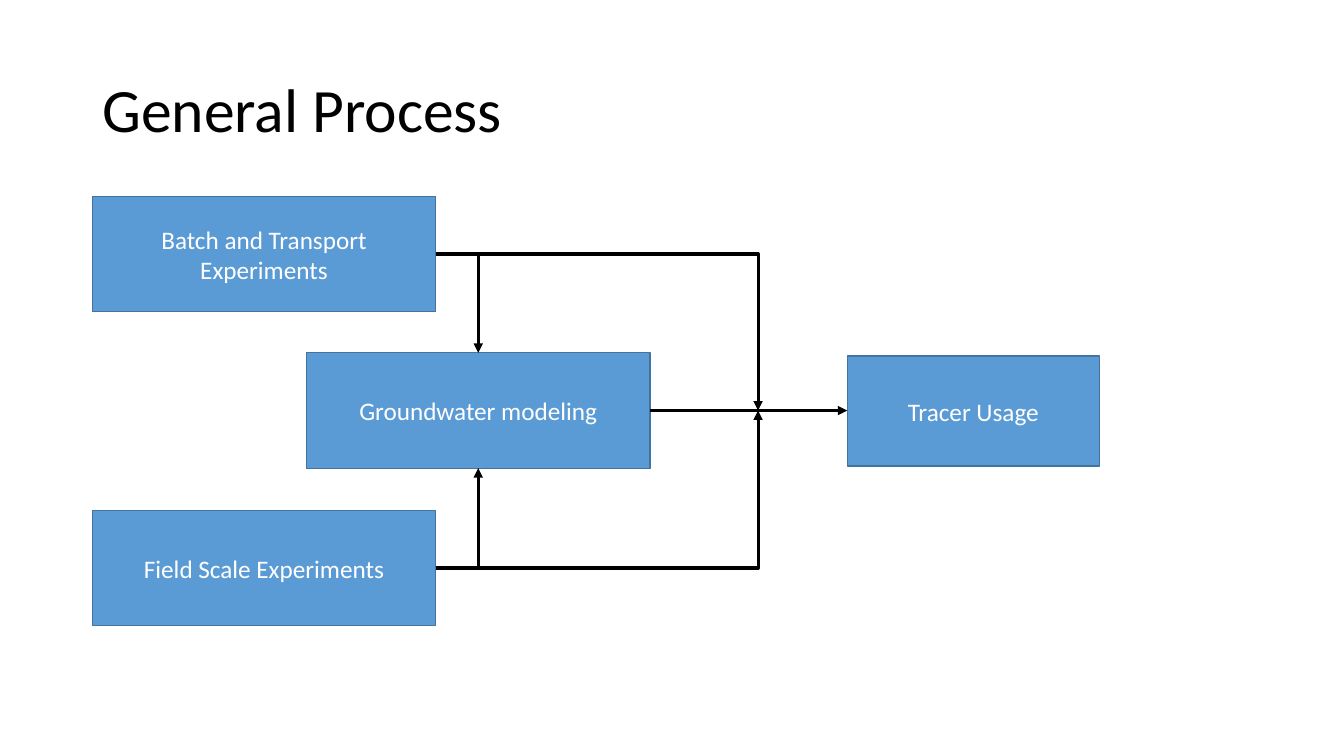
from lxml import etree
from pptx import Presentation
from pptx import util as u
from pptx.dml.color import RGBColor
from pptx.enum import shapes, text
from pptx.oxml import ns

PX = 9525
FONT = "Calibri"
BLACK, WHITE, BLUE, EDGE = "000000", "FFFFFF", "5B9BD5", "43739E"
RIGHT, TOP, BOTTOM, LEFT = 3, 0, 2, 1


def px(*lengths):
    return [u.Emu(length * PX) for length in lengths]


def color(value):
    return RGBColor.from_string(value)


def write(frame, words, size, ink, align):
    frame.word_wrap = True
    frame.vertical_anchor = text.MSO_ANCHOR.MIDDLE
    paragraph = frame.paragraphs[0]
    paragraph.alignment = align
    run = paragraph.add_run()
    run.text = words
    run.font.name = FONT
    run.font.size = u.Pt(size)
    run.font.color.rgb = color(ink)
    return paragraph


def add_heading(slide, box, words):
    heading = slide.shapes.add_textbox(*px(*box))
    line = write(heading.text_frame, words, 44, BLACK, text.PP_ALIGN.LEFT)
    line.line_spacing = 0.9


def add_step(slide, box, words):
    step = slide.shapes.add_shape(shapes.MSO_SHAPE.RECTANGLE, *px(*box))
    step.shadow.inherit = False
    step.fill.solid()
    step.fill.fore_color.rgb = color(BLUE)
    step.line.color.rgb = color(EDGE)
    step.line.width = u.Pt(1)
    write(step.text_frame, words, 18, WHITE, text.PP_ALIGN.CENTER)
    return step


def add_arrow(slide, kind, start, end):
    arrow = slide.shapes.add_connector(kind, *start, *end)
    arrow.line.color.rgb = color(BLACK)
    arrow.line.width = u.Pt(2.25)
    head = etree.SubElement(arrow.line._get_or_add_ln(), ns.qn("a:tailEnd"))
    head.set("type", "triangle")
    etree.SubElement(arrow._element.spPr, ns.qn("a:effectLst"))
    return arrow


def add_elbow(slide, start, end, preset):
    elbow = add_arrow(slide, shapes.MSO_CONNECTOR.ELBOW, start, end)
    geometry = elbow._element.spPr.find(ns.qn("a:prstGeom"))
    geometry.set("prst", preset)
    return elbow, geometry


def right_middle(step):
    return step.left + step.width, step.top + step.height // 2


def add_process(slide, box):
    left, top, width, height = box
    step_w, step_h, usage_w, usage_h = 327, 110, 240, 105
    middle = top + height // 2
    batch = add_step(slide, (left, top, step_w, step_h),
                     "Batch and Transport Experiments")
    field = add_step(slide, (left, top + height - step_h, step_w, step_h),
                     "Field Scale Experiments")
    modeling = add_step(slide, (left + 204, middle - step_h // 2, step_w, step_h),
                        "Groundwater modeling")
    usage = add_step(slide, (left + width - usage_w, middle - usage_h // 2,
                             usage_w, usage_h), "Tracer Usage")

    center = modeling.left + modeling.width // 2
    junction = px(left + 634, middle)
    for experiment, side, edge in (
            (batch, TOP, modeling.top),
            (field, BOTTOM, modeling.top + modeling.height)):
        start = right_middle(experiment)
        into_model, _ = add_elbow(slide, start, (center, edge), "bentConnector2")
        into_model.begin_connect(experiment, RIGHT)
        into_model.end_connect(modeling, side)
        bypass, geometry = add_elbow(slide, start, junction, "bentConnector3")
        bypass.begin_connect(experiment, RIGHT)
        adjust = geometry.find(ns.qn("a:avLst"))
        guide = etree.SubElement(adjust, ns.qn("a:gd"))
        guide.set("name", "adj1")
        guide.set("fmla", "val 100000")

    add_arrow(slide, shapes.MSO_CONNECTOR.STRAIGHT, right_middle(modeling),
              px(left + width - usage_w, middle))


def main():
    deck = Presentation()
    deck.slide_width, deck.slide_height = px(1280, 720)
    slide = deck.slides.add_slide(deck.slide_layouts[6])
    add_heading(slide, (88, 38, 1104, 139), "General Process")
    add_process(slide, (88, 187, 959, 409))
    deck.save("out.pptx")


if __name__ == "__main__":
    main()
